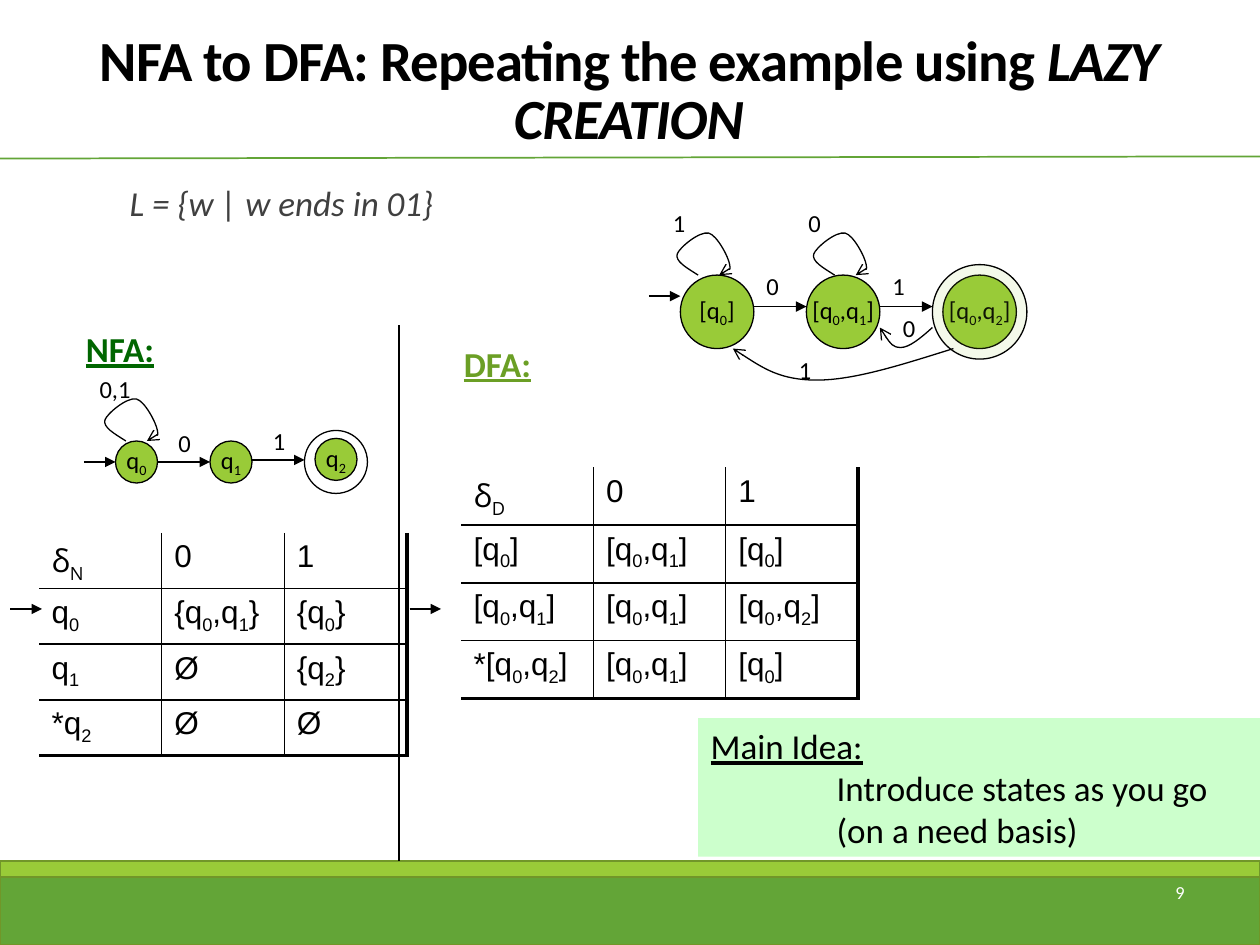
from dataclasses import dataclass

from lxml.etree import SubElement
from pptx import Presentation
from pptx.dml.color import RGBColor
from pptx.enum.shapes import MSO_CONNECTOR as Connector, MSO_SHAPE as Preset
from pptx.enum.text import MSO_ANCHOR as Anchor, MSO_AUTO_SIZE as AutoSize, PP_ALIGN as Align
from pptx.oxml.ns import qn
from pptx.util import Inches, Pt


@dataclass(frozen=True)
class Theme:
    black: str = "000000"
    white: str = "FFFFFF"
    grey: str = "404040"
    green: str = "63A537"
    lime: str = "99CB38"
    olive: str = "719629"
    nfa_green: str = "006600"
    dfa_green: str = "6B9F25"
    mint: str = "CCFFCC"
    font: str = "Calibri"
    table_font: str = "Arial"
    symbol_font: str = "Open Sans"
    title: float = 32.4
    body: float = 20
    table: float = 18
    label: float = 14
    number: float = 10.5
    thin: float = 0.75
    rule: float = 1
    thick: float = 2.25


COLUMNS, ROWS = 120, 90
# Bezier points of a self-loop, relative to its start
LOOP = [(0, 0), (-1.1, -0.7), (-2.2, -1.3), (-2, -2), (-1.8, -2.6), (0.1, -4.2), (1, -4),
        (1.8, -3.8), (2.9, -1.7), (3, -1), (3.1, -0.4), (2.5, -0.1), (2, 0)]


def grid(*cells):
    """Turn cells of the 120 by 90 grid into lengths; cells are square."""
    return [Inches(cell * 10 / COLUMNS) for cell in cells]


def colour(value):
    return RGBColor.from_string(value)


class SlideBuilder:
    def __init__(self, presentation, theme):
        self.theme = theme
        self.slide = presentation.slides.add_slide(presentation.slide_layouts[6])
        self.shapes = self.slide.shapes

    def run(self, paragraph, text, size, color=None, font=None, bold=False,
            italic=False, underline=False, baseline=0, spacing=0):
        run = paragraph.add_run()
        run.text = text
        run.font.name, run.font.size = font or self.theme.font, Pt(size)
        run.font.color.rgb = colour(color or self.theme.black)
        run.font.bold, run.font.italic, run.font.underline = bold, italic, underline
        properties = run.font._element
        if baseline:
            properties.set("baseline", str(baseline))
        if spacing:
            properties.set("spc", str(spacing))

    def marked(self, paragraph, text, size, **style):
        """Write text in which the character after each underscore is a subscript."""
        first, *rest = text.split("_")
        self.run(paragraph, first, size, **style)
        for part in rest:
            self.run(paragraph, part[0], size, baseline=-25000, **style)
            if part[1:]:
                self.run(paragraph, part[1:], size, **style)

    def text(self, box, wrap=True, align=Align.LEFT, anchor=Anchor.TOP):
        frame = self.shapes.add_textbox(*grid(*box)).text_frame
        frame.word_wrap, frame.vertical_anchor = wrap, anchor
        frame.auto_size = AutoSize.NONE if wrap else AutoSize.SHAPE_TO_FIT_TEXT
        frame.paragraphs[0].alignment = align
        return frame

    def label(self, text, left, top, width=3.7):
        frame = self.text((left, top, width, 4), wrap=False)
        self.run(frame.paragraphs[0], text, self.theme.label)

    def heading(self, text, left, top, color):
        frame = self.text((left, top, 10.3, 5.2), wrap=False)
        self.run(frame.paragraphs[0], text, self.theme.body, color, bold=True, underline=True)

    def shape(self, preset, box, fill=None, line=None, width=0.75, opacity=None):
        shape = self.shapes.add_shape(preset, *grid(*box))
        shape.shadow.inherit = False
        self.paint(shape, fill, line, width)
        if opacity:
            color = shape.fill._xPr.find(qn("a:solidFill"))[0]
            SubElement(color, qn("a:alpha")).set("val", str(opacity * 1000))
        return shape

    def paint(self, shape, fill, line, width):
        if fill:
            shape.fill.solid()
            shape.fill.fore_color.rgb = colour(fill)
        else:
            shape.fill.background()
        if line:
            shape.line.color.rgb = colour(line)
            shape.line.width = Pt(width)
        else:
            shape.line.fill.background()

    def state(self, text, left, top, size):
        theme = self.theme
        frame = self.shape(Preset.OVAL, (left, top, size, size), theme.lime, theme.black).text_frame
        frame.word_wrap, frame.vertical_anchor = False, Anchor.MIDDLE
        frame.paragraphs[0].alignment = Align.CENTER
        self.marked(frame.paragraphs[0], text, theme.label)

    def ring(self, left, top, size, **style):
        self.shape(Preset.OVAL, (left, top, size, size), line=self.theme.black, **style)

    def line(self, start, end, color=None, width=None, head=None):
        line = self.shapes.add_connector(Connector.STRAIGHT, *grid(*start, *end))
        line.line.color.rgb = colour(color or self.theme.black)
        line.line.width = Pt(width or self.theme.thin)
        if head:
            self.arrowhead(line, head)
        SubElement(line._element.spPr, qn("a:effectLst"))

    def arrow(self, left, top, length):
        self.line((left, top), (left + length, top), head="triangle")

    def arrowhead(self, shape, head):
        SubElement(shape.line._get_or_add_ln(), qn("a:tailEnd")).set("type", head)

    def curve(self, points):
        """Draw an arrow along cubic curves: a start, then three points for each curve."""
        start, *rest = [grid(*point) for point in points]
        builder = self.shapes.build_freeform(*start)
        builder.add_line_segments(rest, close=False)
        shape = builder.convert_to_shape()
        shape.shadow.inherit = False
        self.paint(shape, None, self.theme.black, self.theme.thin)
        self.arrowhead(shape, "arrow")
        outline = next(shape._element.iter(qn("a:path")))
        segments = outline.findall(qn("a:lnTo"))
        for index in range(0, len(segments), 3):
            cubic = SubElement(outline, qn("a:cubicBezTo"))
            for segment in segments[index:index + 3]:
                cubic.append(segment[0])
                outline.remove(segment)

    def loop(self, left, top):
        self.curve([(left + x, top + y) for x, y in LOOP])

    def table(self, left, top, column, row, content):
        theme = self.theme
        rows, columns = len(content), len(content[0])
        box = grid(left, top, column * columns, row * rows)
        table = self.shapes.add_table(rows, columns, *box).table
        table.first_row = table.horz_banding = False
        for i, texts in enumerate(content):
            table.rows[i].height = grid(row)[0]
            for j, text in enumerate(texts):
                table.columns[j].width = grid(column)[0]
                cell = table.cell(i, j)
                font = theme.symbol_font if i == j == 0 else theme.table_font
                self.marked(cell.text_frame.paragraphs[0], text, theme.table, font=font)
                self.border(cell, "L", theme.rule if j else 0)
                self.border(cell, "R", theme.thick if j == columns - 1 else theme.rule)
                self.border(cell, "T", theme.rule if i else 0)
                self.border(cell, "B", theme.thick if i == rows - 1 else theme.rule)
                cell.fill.background()

    def border(self, cell, side, width):
        line = SubElement(cell._tc.get_or_add_tcPr(), qn(f"a:ln{side}"), w=str(Pt(width)))
        fill = SubElement(line, qn("a:solidFill" if width else "a:noFill"))
        if width:
            SubElement(fill, qn("a:srgbClr")).set("val", self.theme.black)


def add_frame(page, theme):
    page.shape(Preset.RECTANGLE, (0, 83, 120, 7), theme.green, theme.olive, 1.25)
    page.shape(Preset.RECTANGLE, (0, 82, 120, 1.56), theme.lime, theme.olive, 1.25)
    page.line((-0.36, 15.1), (120, 14.9), theme.green, theme.rule)
    number = page.text((89, 82, 25, 6), align=Align.RIGHT, anchor=Anchor.MIDDLE)
    page.run(number.paragraphs[0], "9", theme.number, theme.white)
    title = page.text((5.9, 3, 108, 12), align=Align.CENTER, anchor=Anchor.BOTTOM).paragraphs[0]
    title.line_spacing = 0.85
    for text, italic in (("NFA to DFA: Repeating the example using ", False), ("LAZY CREATION", True)):
        page.run(title, text, theme.title, bold=True, italic=italic, spacing=-50)
    language = page.text((11.16, 17.16, 102, 5)).paragraphs[0]
    language.line_spacing = 0.9
    page.run(language, "L = {w | w ends in 01}", theme.body, theme.grey, italic=True)


def add_nfa(page, theme):
    page.heading("NFA:", 7, 30.6, theme.nfa_green)
    for text, left, top in (("q_0", 11, 42), ("q_1", 20, 42), ("q_2", 30, 41.75)):
        page.state(text, left, top, 4)
    page.ring(29, 41, 6)
    for left, top, length in ((8, 44, 3), (15, 44, 5), (24, 43.8, 5), (1, 58, 3)):
        page.arrow(left, top, length)
    page.loop(12, 42)
    page.label("0,1", 8.3, 35, 5.6)
    page.label("0", 15.8, 40.2)
    page.label("1", 24.8, 40)
    page.table(3.72, 50.76, 11.68, 5.3, [
        ["δ_N", "0", "1"], ["q_0", "{q_0,q_1}", "{q_0}"],
        ["q_1", "Ø", "{q_2}"], ["*q_2", "Ø", "Ø"]])
    page.line((38, 31), (38, 82))


def add_dfa(page, theme):
    page.heading("DFA:", 43, 32, theme.dfa_green)
    page.table(43.92, 44.52, 12.6, 5.5, [
        ["δ_D", "0", "1"], ["[q_0]", "[q_0,q_1]", "[q_0]"],
        ["[q_0,q_1]", "[q_0,q_1]", "[q_0,q_2]"], ["*[q_0,q_2]", "[q_0,q_1]", "[q_0]"]])
    for text, left in (("[q_0]", 64.8), ("[q_0,q_1]", 76.8), ("[q_0,q_2]", 89.8)):
        page.state(text, left, 26.2, 7)
    page.ring(88.8, 25.2, 9, fill=theme.lime, opacity=10)
    for left, top, length in ((39, 58, 3), (61.8, 28.2, 3), (71.8, 29.2, 5), (83.8, 29.2, 5)):
        page.arrow(left, top, length)
    for left in (66.5, 79.5):
        page.loop(left, 26.2)
    page.curve([(88.8, 31.2), (87.7, 32.2), (86.6, 33.1), (85.8, 33.1),
                (85, 33.1), (84.4, 32.2), (83.8, 31.2)])
    page.curve([(90.8, 33.2), (86, 34.7), (81.4, 36.2), (77.8, 36.2),
                (74.3, 36.2), (72.1, 34.7), (69.8, 33.2)])
    for text, left, top in (("1", 62.9, 19.2), ("0", 75.8, 19.2), ("0", 71.8, 25.2),
                            ("1", 83.8, 25.2), ("0", 84.8, 29.2), ("1", 74.9, 33.2)):
        page.label(text, left, top)


def add_main_idea(page, theme):
    box = page.shape(Preset.RECTANGLE, (66.5, 68.4, 53.5, 13.2), theme.mint)
    frame = box.text_frame
    frame.word_wrap, frame.vertical_anchor = True, Anchor.TOP
    heading = frame.paragraphs[0]
    heading.alignment = Align.LEFT
    page.run(heading, "Main Idea:", theme.body, underline=True)
    for text in ("Introduce states as you go", "(on a need basis)"):
        paragraph = frame.add_paragraph()
        paragraph.alignment = Align.LEFT
        paragraph._p.get_or_add_pPr().set("marL", str(Inches(1)))
        page.run(paragraph, text, theme.body)


def main():
    presentation = Presentation()
    presentation.slide_width, presentation.slide_height = grid(COLUMNS, ROWS)
    theme = Theme()
    page = SlideBuilder(presentation, theme)
    for add_part in (add_frame, add_nfa, add_dfa, add_main_idea):
        add_part(page, theme)
    presentation.save("out.pptx")


if __name__ == "__main__":
    main()
